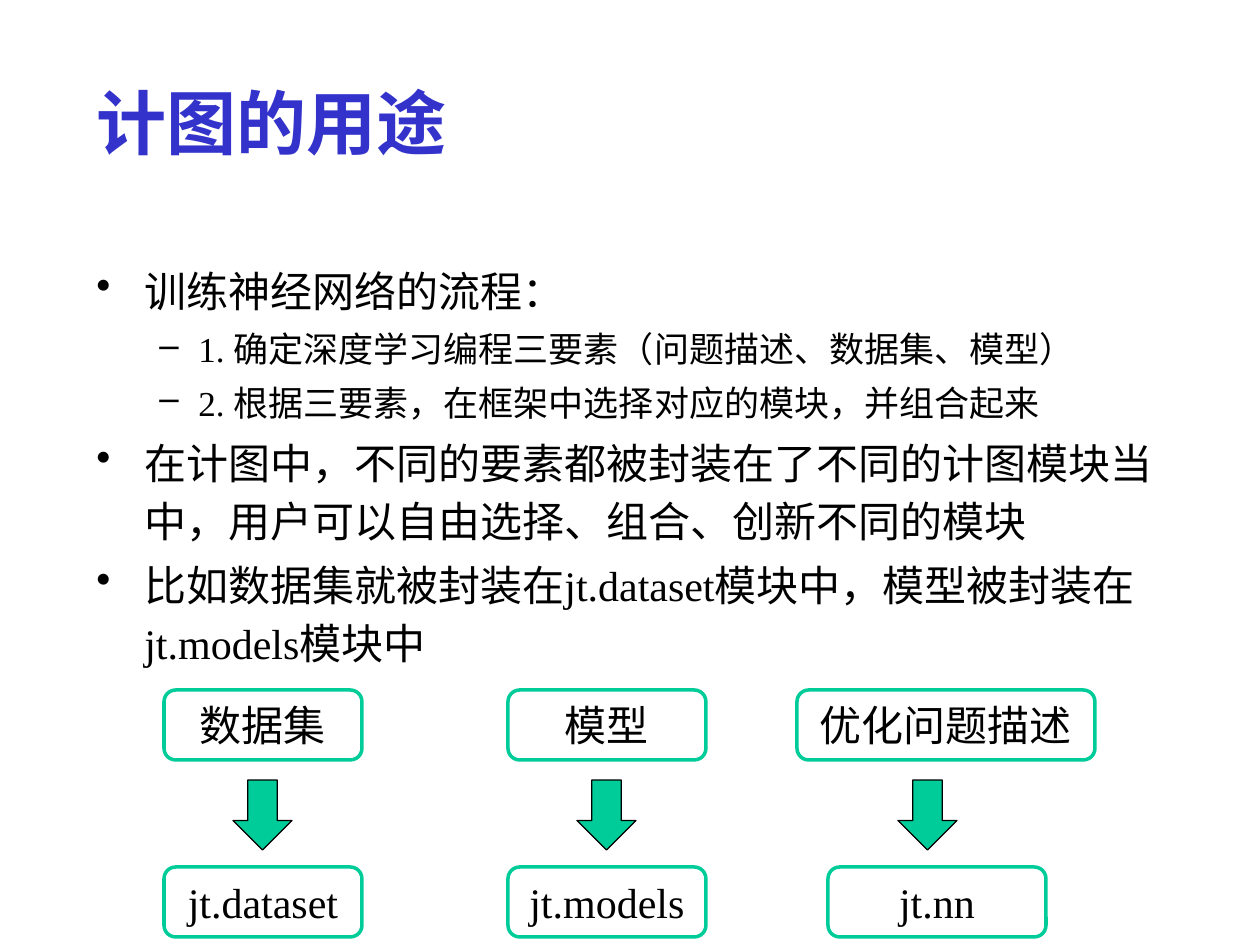
from lxml.etree import SubElement
from pptx import Presentation
from pptx.dml.color import RGBColor
from pptx.enum.shapes import MSO_SHAPE as SHAPE
from pptx.enum.text import MSO_ANCHOR as ANCHOR, PP_ALIGN as ALIGN
from pptx.oxml.ns import qn
from pptx.util import Pt

PX = 914400 // 126
BLUE = RGBColor(0x33, 0x33, 0xCC)
GREEN = RGBColor(0x00, 0xCC, 0x99)
BLACK = RGBColor(0, 0, 0)
WHITE = RGBColor(255, 255, 255)


def write(p, text, size, color=BLACK, bold=False):
    p.text = text
    font = p.runs[0].font
    font.name, font.size, font.bold = "Times New Roman", Pt(size), bold
    font.color.rgb = color


def add_shape(kind, x, y, w, h, fill, line, width):
    sp = s.shapes.add_shape(kind, x * PX, y * PX, w * PX, h * PX)
    sp.shadow.inherit = False
    sp.fill.solid()
    sp.fill.fore_color.rgb = fill
    sp.line.color.rgb = line
    sp.line.width = Pt(width)
    return sp


prs = Presentation()
prs.slide_width, prs.slide_height = 1260 * PX, 945 * PX
s = prs.slides.add_slide(prs.slide_layouts[6])

# Title
tf = s.shapes.add_textbox(84 * PX, 42 * PX, 914 * PX, 158 * PX).text_frame
tf.word_wrap = True
tf.vertical_anchor = ANCHOR.MIDDLE
write(tf.paragraphs[0], "计图的用途", 40, BLUE, True)

# Bulleted body: size, left margin and hanging indent in px, bullet per level
levels = [(24, 48, 48, "•"), (20, 102, 39, "–")]
body = [
    (0, "训练神经网络的流程："),
    (1, "1. 确定深度学习编程三要素（问题描述、数据集、模型）"),
    (1, "2. 根据三要素，在框架中选择对应的模块，并组合起来"),
    (0, "在计图中，不同的要素都被封装在了不同的计图模块当中，用户可以自由选择、组合、创新不同的模块"),
    (0, "比如数据集就被封装在jt.dataset模块中，模型被封装在jt.models模块中"),
]
tf = s.shapes.add_textbox(84 * PX, 252 * PX, 1101 * PX, 627 * PX).text_frame
tf.word_wrap = True
for i, (level, text) in enumerate(body):
    size, margin, hanging, bullet = levels[level]
    p = tf.add_paragraph() if i else tf.paragraphs[0]
    write(p, text, size)
    p.level = level
    p.line_spacing = 1.15
    p.space_before = Pt(size * 0.15)
    pPr = p._p.get_or_add_pPr()
    pPr.set("marL", str(margin * PX))
    pPr.set("indent", str(-hanging * PX))
    SubElement(pPr, qn("a:buChar"), char=bullet)

# Each element with an arrow down to its module: (text, left, width)
columns = [
    (("数据集", 164, 198), 233, ("jt.dataset", 164, 198)),
    (("模型", 508, 198), 577, ("jt.models", 508, 198)),
    (("优化问题描述", 797, 298), 898, ("jt.nn", 828, 218)),
]
for element, arrow_x, module in columns:
    for (text, x, w), y in ((element, 690), (module, 867)):
        sp = add_shape(SHAPE.ROUNDED_RECTANGLE, x, y, w, 70, WHITE, GREEN, 2)
        tf = sp.text_frame
        tf.word_wrap = False
        tf.vertical_anchor = ANCHOR.MIDDLE
        write(tf.paragraphs[0], text, 24)
        tf.paragraphs[0].alignment = ALIGN.CENTER
    add_shape(SHAPE.DOWN_ARROW, arrow_x, 780, 59, 70, GREEN, BLACK, 0.75)

prs.save("out.pptx")
